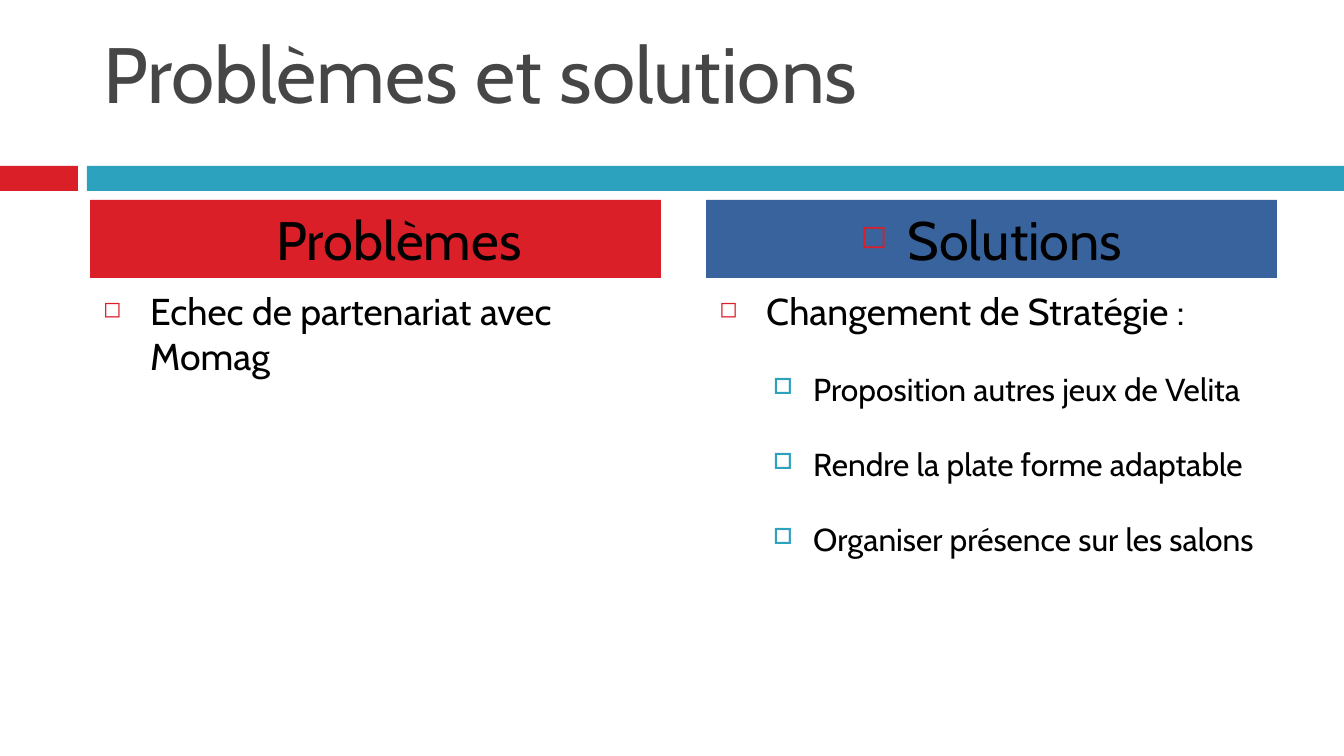
from lxml.etree import SubElement
from pptx import Presentation
from pptx.dml.color import RGBColor
from pptx.enum.shapes import MSO_SHAPE as Shape
from pptx.enum.text import MSO_ANCHOR as Anchor, PP_ALIGN as Align
from pptx.oxml.ns import qn
from pptx.util import Pt

SCALE = 914400 / 134.4
COLORS = {
    "red": "DA1F28",
    "teal": "2DA2BF",
    "blue": "39639D",
    "grey": "464646",
    "black": "000000",
}


def px(length):
    return round(length * SCALE)


def color(name):
    return RGBColor.from_string(COLORS[name])


def write(para, text, size, ink="black", align=Align.LEFT, left=0, hang=0,
          bullet=None, tint="red", percent=60, before=0, after=0):
    props = para._p.get_or_add_pPr()
    props.set("marL", str(px(left)))
    props.set("indent", str(-px(hang)))
    if bullet:
        fill = SubElement(props, qn("a:buClr"))
        SubElement(fill, qn("a:srgbClr"), val=COLORS[tint])
        SubElement(props, qn("a:buSzPct"), val=str(percent * 1000))
        SubElement(props, qn("a:buChar"), char=bullet)
    para.alignment = align
    para.space_before, para.space_after = Pt(before), Pt(after)
    span = para.add_run()
    span.text = text
    span.font.name = "Cabin"
    span.font.size = Pt(size)
    span.font.color.rgb = color(ink)


class Painter:
    """Holds the style and the current page, and draws each kind of element."""

    MAIN = dict(size=20, left=47, hang=47, bullet="◻", after=14.2)
    SUB = dict(size=17, left=94, hang=40, bullet="□", tint="teal",
               percent=70, before=5.5, after=14.2)
    HEAD = dict(size=29, align=Align.CENTER, left=47)

    def __init__(self, page):
        self.page = page

    def bar(self, x, y, width, height, fill):
        box = self.page.shapes.add_shape(
            Shape.RECTANGLE, px(x), px(y), px(width), px(height))
        box.shadow.inherit = False
        box.fill.solid()
        box.fill.fore_color.rgb = color(fill)
        box.line.fill.background()
        return box

    def fill_text(self, box, items):
        frame = box.text_frame
        frame.word_wrap = True
        frame.vertical_anchor = Anchor.TOP
        for index, (text, style) in enumerate(items):
            para = frame.add_paragraph() if index else frame.paragraphs[0]
            write(para, text, **style)

    def text(self, x, y, width, height, items):
        box = self.page.shapes.add_textbox(px(x), px(y), px(width), px(height))
        self.fill_text(box, items)

    def column(self, x, heading, fill, style, items):
        width = 571
        self.text(x, 282, width, 386, items)
        box = self.bar(x, 200, width, 78, fill)
        self.fill_text(box, [(heading, self.HEAD | style)])


def main():
    deck = Presentation()
    deck.slide_width, deck.slide_height = px(1344), px(756)
    painter = Painter(deck.slides.add_slide(deck.slide_layouts[6]))
    painter.bar(0, 166, 78, 25, "red")
    painter.bar(87, 166, 1257, 25, "teal")
    painter.text(90, 18, 1199, 148,
                 [("Problèmes et solutions", dict(size=42, ink="grey"))])
    painter.column(90, "Problèmes", "red", {},
                   [("Echec de partenariat avec Momag", painter.MAIN)])
    actions = ["Proposition autres jeux de Velita",
               "Rendre la plate forme adaptable",
               "Organiser présence sur les salons"]
    painter.column(706, "Solutions", "blue", dict(bullet="◻", hang=47),
                   [("Changement de Stratégie :", painter.MAIN)]
                   + [(action, painter.SUB) for action in actions])
    deck.save("out.pptx")


if __name__ == "__main__":
    main()
